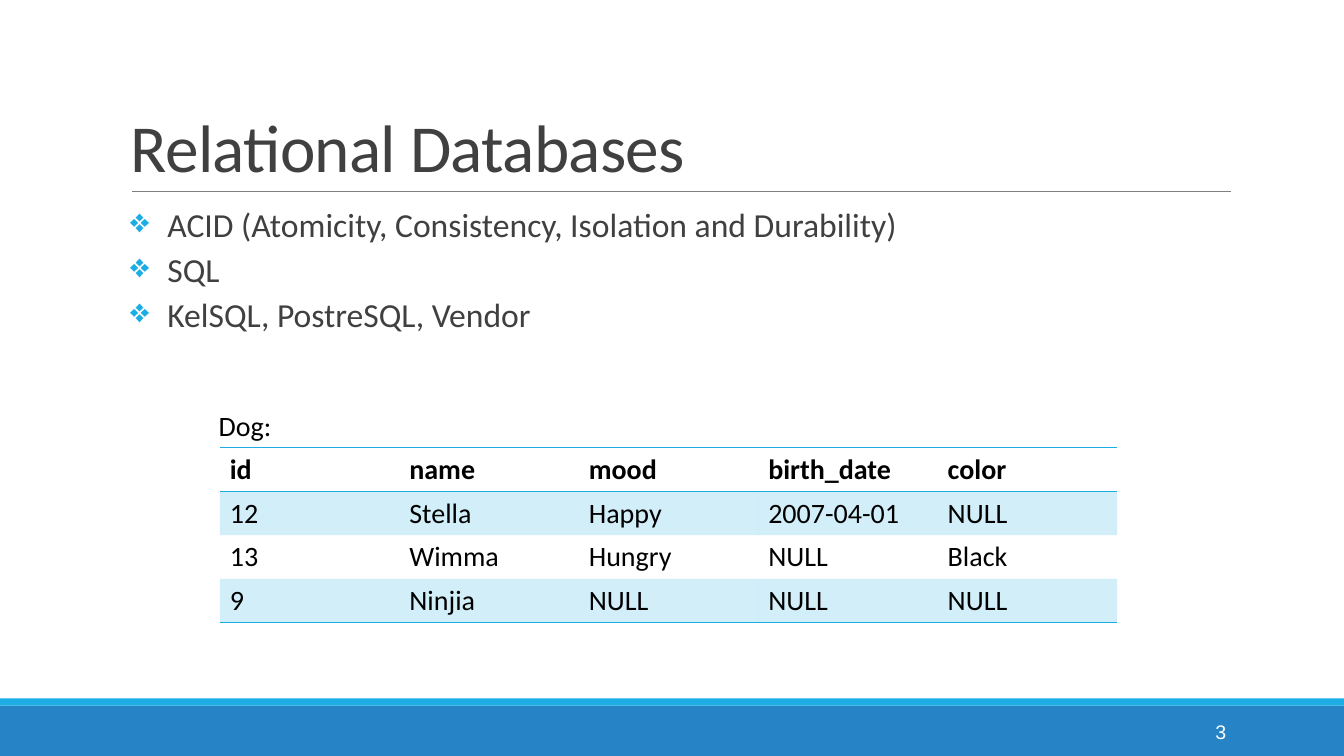
from pptx import Presentation
from pptx.dml.color import RGBColor
from pptx.enum.shapes import MSO_CONNECTOR, MSO_SHAPE
from pptx.enum.text import MSO_ANCHOR, PP_ALIGN
from pptx.oxml.ns import qn
from pptx.util import Inches, Pt
from lxml.etree import SubElement

# Content
TITLE = "Relational Databases"
BULLETS = [
    "ACID (Atomicity, Consistency, Isolation and Durability)",
    "SQL",
    "KelSQL, PostreSQL, Vendor",
]
TABLE_NAME = "Dog:"
DOGS = [
    ("id", "name", "mood", "birth_date", "color"),
    ("12", "Stella", "Happy", "2007-04-01", "NULL"),
    ("13", "Wimma", "Hungry", "NULL", "Black"),
    ("9", "Ninjia", "NULL", "NULL", "NULL"),
]
PAGE_NUMBER = "3"

# Theme and grid
THEME = {
    "accent": "1CADE4", "footer": "2683C6", "rule": "808080",
    "title": {"name": "Calibri", "size": 48, "color": "404040"},
    "body": {"name": "Calibri", "size": 24, "color": "404040"},
    "table": {"name": "Calibri", "size": 20, "color": "000000"},
    "header": {"name": "Calibri", "size": 20, "color": "000000", "bold": True},
    "number": {"name": "Arial", "size": 14, "color": "FFFFFF"},
}
WIDTH, HEIGHT = 13.33, 7.5
FOOTER_HEIGHT, STRIPE_HEIGHT = 0.5, 0.07
FOOTER_TOP = HEIGHT - FOOTER_HEIGHT
RULE_LEFT, RULE_RIGHT, RULE_TOP = 1.31, 12.21, 1.9
TABLE_LEFT, TABLE_TOP, COLUMN_WIDTH, ROW_HEIGHT = 2.18, 4.44, 1.78, 0.43
BULLET_HANG = 0.37
NO_STYLE = "{2D5ABB26-0587-4C30-8999-92F81FD0307C}"


def apply_font(font, style):
    for key, value in style.items():
        if key == "color":
            font.color.rgb = RGBColor.from_string(value)
        else:
            setattr(font, key, Pt(value) if key == "size" else value)


def add_text(slide, box, lines, style, frame_format=None, paragraph_format=None):
    frame = slide.shapes.add_textbox(*map(Inches, box)).text_frame
    for key, value in {"word_wrap": True, **(frame_format or {})}.items():
        setattr(frame, key, value)
    frame.text = "\n".join(lines)
    for paragraph in frame.paragraphs:
        for key, value in (paragraph_format or {}).items():
            setattr(paragraph, key, value)
        for run in paragraph.runs:
            apply_font(run.font, style)
    return frame


def add_band(slide, top, height, color):
    shape = slide.shapes.add_shape(
        MSO_SHAPE.RECTANGLE, 0, Inches(top), Inches(WIDTH), Inches(height))
    shape.shadow.inherit = False
    shape.fill.solid()
    shape.fill.fore_color.rgb = RGBColor.from_string(color)
    shape.line.fill.background()


def add_bullet(paragraph):
    properties = paragraph._p.get_or_add_pPr()
    properties.set("marL", str(Inches(0.22 + BULLET_HANG)))
    properties.set("indent", str(-Inches(BULLET_HANG)))
    color = SubElement(properties, qn("a:buClr"))
    SubElement(color, qn("a:srgbClr"), val=THEME["accent"])
    SubElement(properties, qn("a:buChar"), char="❖")


def add_border(cell, side):
    line = SubElement(cell._tc.get_or_add_tcPr(), qn(f"a:{side}"), w=str(Pt(1)))
    fill = SubElement(line, qn("a:solidFill"))
    SubElement(fill, qn("a:srgbClr"), val=THEME["accent"])


def fill_cell(cell, banded):
    if not banded:
        cell.fill.background()
        return
    cell.fill.solid()
    cell.fill.fore_color.rgb = RGBColor.from_string(THEME["accent"])
    color = cell._tc.tcPr.find(f"{qn('a:solidFill')}/{qn('a:srgbClr')}")
    SubElement(color, qn("a:alpha"), val="20000")


def add_dog_table(slide):
    rows, columns = len(DOGS), len(DOGS[0])
    table = slide.shapes.add_table(
        rows, columns, Inches(TABLE_LEFT), Inches(TABLE_TOP),
        Inches(COLUMN_WIDTH * columns), Inches(ROW_HEIGHT * rows)).table
    table._tbl.tblPr.find(qn("a:tableStyleId")).text = NO_STYLE
    table.horz_banding = False
    borders = {0: ("lnT", "lnB"), rows - 1: ("lnB",)}
    for row, record in enumerate(DOGS):
        for column, value in enumerate(record):
            cell = table.cell(row, column)
            cell.text = value
            style = THEME["table" if row else "header"]
            apply_font(cell.text_frame.paragraphs[0].runs[0].font, style)
            for side in borders.get(row, ()):
                add_border(cell, side)
            fill_cell(cell, row % 2 == 1)


def main():
    presentation = Presentation()
    presentation.slide_width, presentation.slide_height = Inches(WIDTH), Inches(HEIGHT)
    slide = presentation.slides.add_slide(presentation.slide_layouts[6])

    # Footer bands and title rule
    add_band(slide, FOOTER_TOP, FOOTER_HEIGHT, THEME["footer"])
    add_band(slide, FOOTER_TOP - STRIPE_HEIGHT, STRIPE_HEIGHT, THEME["accent"])
    rule = slide.shapes.add_connector(
        MSO_CONNECTOR.STRAIGHT,
        *map(Inches, (RULE_LEFT, RULE_TOP, RULE_RIGHT, RULE_TOP)))
    rule.line.width = Pt(0.5)
    rule.line.color.rgb = RGBColor.from_string(THEME["rule"])
    SubElement(rule._element.spPr, qn("a:effectLst"))

    # Title and page number
    title = add_text(slide, (1.2, 0.31, 11, 1.59), [TITLE], THEME["title"],
                     {"vertical_anchor": MSO_ANCHOR.BOTTOM}, {"line_spacing": 0.85})
    title.paragraphs[0].runs[0].font._element.set("spc", "-50")
    add_text(slide, (10.83, 7.06, 1.43, 0.4), [PAGE_NUMBER], THEME["number"],
             {"vertical_anchor": MSO_ANCHOR.MIDDLE}, {"alignment": PP_ALIGN.RIGHT})

    # Bullets
    bullets = add_text(slide, (1.07, 2.02, 11.61, 1.95), BULLETS, THEME["body"],
                       {"margin_left": 0, "margin_right": 0},
                       {"line_spacing": 0.9, "space_after": Pt(4)})
    for index, paragraph in enumerate(bullets.paragraphs):
        paragraph.space_before = Pt(2 if index else 0)
        add_bullet(paragraph)

    # Table with its name
    add_dog_table(slide)
    add_text(slide, (2.07, 4, 1.81, 0.44), [TABLE_NAME], THEME["table"])

    presentation.save("out.pptx")


if __name__ == "__main__":
    main()
